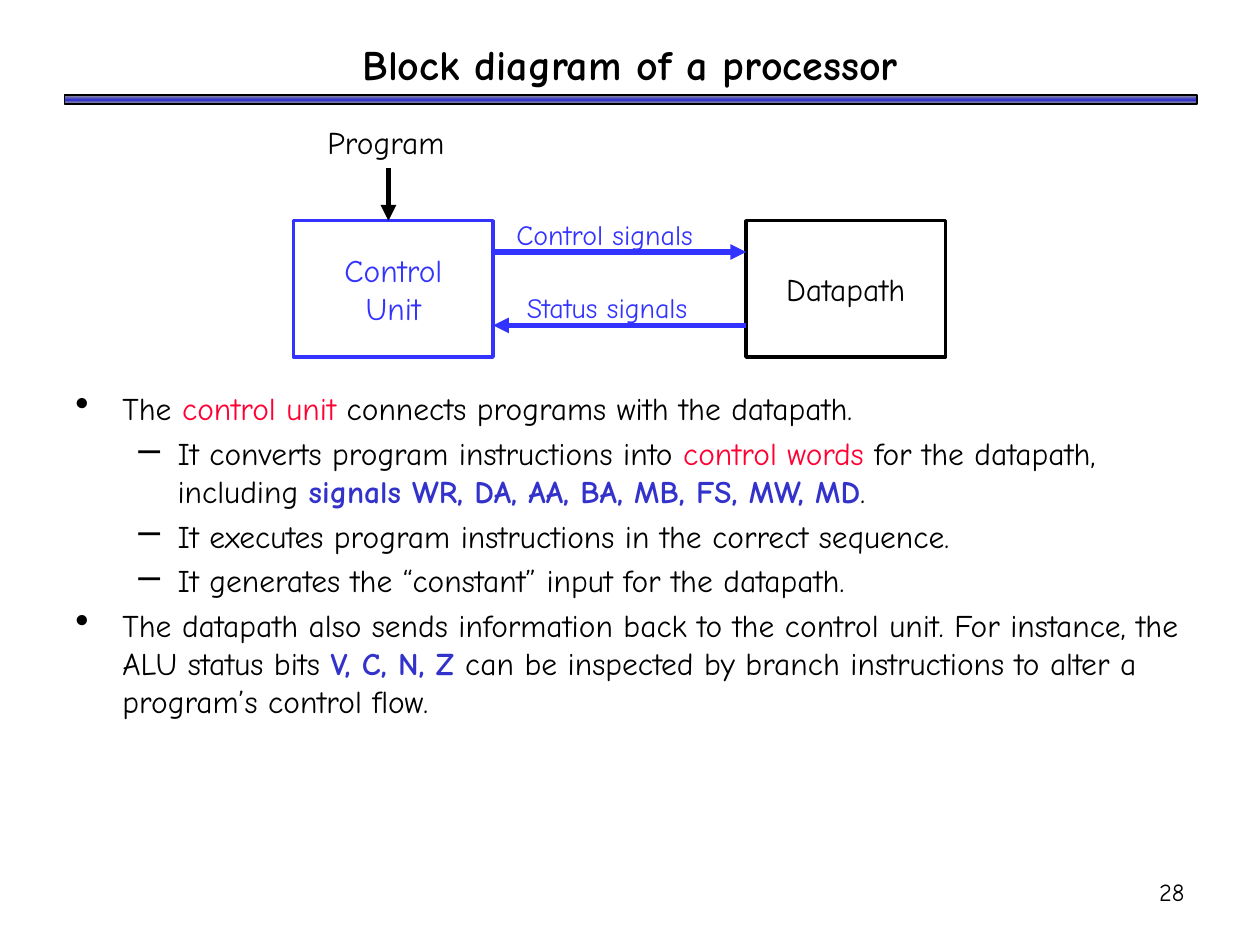
import copy

import pptx
import pptx.dml.color
import pptx.enum.shapes
import pptx.enum.text
import pptx.oxml.ns
import pptx.util
from lxml import etree

Cm, Pt = pptx.util.Cm, pptx.util.Pt
RGB = pptx.dml.color.RGBColor.from_string
SHAPE = pptx.enum.shapes.MSO_SHAPE
ALIGN = pptx.enum.text.PP_ALIGN
ANCHOR = pptx.enum.text.MSO_ANCHOR
qn = pptx.oxml.ns.qn

COLORS = {
    "black": "000000",
    "gray": "969696",
    "indigo": "3333CC",
    "blue": "3333FF",
    "red": "FF0033",
}
RUN_STYLES = {
    "plain": {"color": "black", "bold": False},
    "term": {"color": "red", "bold": False},
    "signal": {"color": "indigo", "bold": True},
}


def add_run(paragraph, text, size, color="black", bold=False):
    run = paragraph.add_run()
    run.text = text
    for name, value in {"name": "Comic Neue", "size": Pt(size), "bold": bold}.items():
        setattr(run.font, name, value)
    run.font.color.rgb = RGB(COLORS[color])


def add_label(text, box, size, color="black", align=ALIGN.LEFT, wrap=False, bold=False):
    """Add a one-line text box, centred vertically in box (left, top, width, height in cm)."""
    frame = slide.shapes.add_textbox(*map(Cm, box)).text_frame
    for name, value in {"word_wrap": wrap, "vertical_anchor": ANCHOR.MIDDLE}.items():
        setattr(frame, name, value)
    frame.paragraphs[0].alignment = align
    add_run(frame.paragraphs[0], text, size, color, bold)


presentation = pptx.Presentation()
presentation.slide_width, presentation.slide_height = Cm(25.4), Cm(19.05)
slide = presentation.slides.add_slide(presentation.slide_layouts[6])

# Title, rule and page number
rule = slide.shapes.add_shape(SHAPE.RECTANGLE, Cm(1.3), Cm(1.92), Cm(22.83), Cm(0.18))
rule.shadow.inherit = False
rule.line.color.rgb = RGB(COLORS["black"])
rule.line.width = Pt(1)
rule.fill.gradient()
rule.fill.gradient_angle = 90
stop_list = rule._element.spPr.find(".//" + qn("a:gsLst"))
stop_list.append(copy.deepcopy(stop_list[0]))
for stop, (position, color) in zip(
    rule.fill.gradient_stops, [(0, "gray"), (0.5, "indigo"), (1, "gray")]
):
    stop.position = position
    stop.color.rgb = RGB(COLORS[color])

add_label("Block diagram of a processor", (1.27, 0.64, 22.86, 1.27), 24,
          align=ALIGN.CENTER, wrap=True, bold=True)
add_label("28", (18.85, 17.35, 5.28, 1.27), 14, align=ALIGN.RIGHT, wrap=True)

# Blocks
block_top, block_width, block_height = 4.45, 4.02, 2.75
control_left, datapath_left = 5.92, 15.04
for left, lines, color in [
    (control_left, ["Control", "Unit"], "blue"),
    (datapath_left, ["Datapath"], "black"),
]:
    block = slide.shapes.add_shape(
        SHAPE.RECTANGLE, Cm(left), Cm(block_top), Cm(block_width), Cm(block_height)
    )
    block.shadow.inherit = False
    block.fill.background()
    block.line.color.rgb = RGB(COLORS[color])
    block.line.width = Pt(2)
    block.text_frame.vertical_anchor = ANCHOR.MIDDLE
    for number, line in enumerate(lines):
        paragraph = (block.text_frame.add_paragraph() if number
                     else block.text_frame.paragraphs[0])
        paragraph.alignment = ALIGN.CENTER
        add_run(paragraph, line, 18, color)

# Arrows between the blocks, and from the program
control_right = control_left + block_width
for start, end, color in [
    ((control_right, 5.08), (datapath_left, 5.08), "blue"),
    ((datapath_left, 6.56), (control_right, 6.56), "blue"),
    ((7.83, 3.39), (7.83, block_top), "black"),
]:
    arrow = slide.shapes.add_connector(
        pptx.enum.shapes.MSO_CONNECTOR.STRAIGHT, *map(Cm, start + end)
    )
    arrow.line.color.rgb = RGB(COLORS[color])
    arrow.line.width = Pt(3)
    etree.SubElement(arrow.line._get_or_add_ln(), qn("a:tailEnd"), type="triangle")
    etree.SubElement(arrow._element.spPr, qn("a:effectLst"))

add_label("Control signals", (10.16, 4.25, 4.34, 0.94), 16, "blue")
add_label("Status signals", (10.37, 5.72, 4.22, 0.94), 16, "blue")
add_label("Program", (6.35, 2.35, 2.95, 1.02), 18)

# Explanation
LEVELS = [
    {"bullet": "•", "margin": 0.95, "hanging": 0.95},
    {"bullet": "–", "margin": 2.06, "hanging": 0.79},
]
POINTS = [
    (0, [("The ", "plain"), ("control unit", "term"),
         (" connects programs with the datapath.", "plain")]),
    (1, [("It converts program instructions into ", "plain"), ("control words", "term"),
         (" for the datapath, including ", "plain"),
         ("signals WR, DA, AA, BA, MB, FS, MW, MD", "signal"), (".", "plain")]),
    (1, [("It executes program instructions in the correct sequence.", "plain")]),
    (1, [("It generates the “constant” input for the datapath.", "plain")]),
    (0, [("The datapath also sends information back to the control unit. "
          "For instance, the ALU status bits ", "plain"),
         ("V, C, N, Z ", "signal"),
         ("can be inspected by branch instructions to alter a program’s control flow.",
          "plain")]),
]
explanation = slide.shapes.add_textbox(Cm(1.27), Cm(7.72), Cm(22.86), Cm(9)).text_frame
explanation.word_wrap = True
for number, (level, runs) in enumerate(POINTS):
    paragraph = explanation.add_paragraph() if number else explanation.paragraphs[0]
    style = LEVELS[level]
    properties = paragraph._p.get_or_add_pPr()
    properties.set("marL", str(Cm(style["margin"])))
    properties.set("indent", str(-Cm(style["hanging"])))
    etree.SubElement(properties, qn("a:buSzPct"), val="125000")
    etree.SubElement(properties, qn("a:buChar"), char=style["bullet"])
    paragraph.level = level
    if number:
        paragraph.space_before = Pt(4)
    for text, run_style in runs:
        add_run(paragraph, text, 18, **RUN_STYLES[run_style])

presentation.save("out.pptx")
